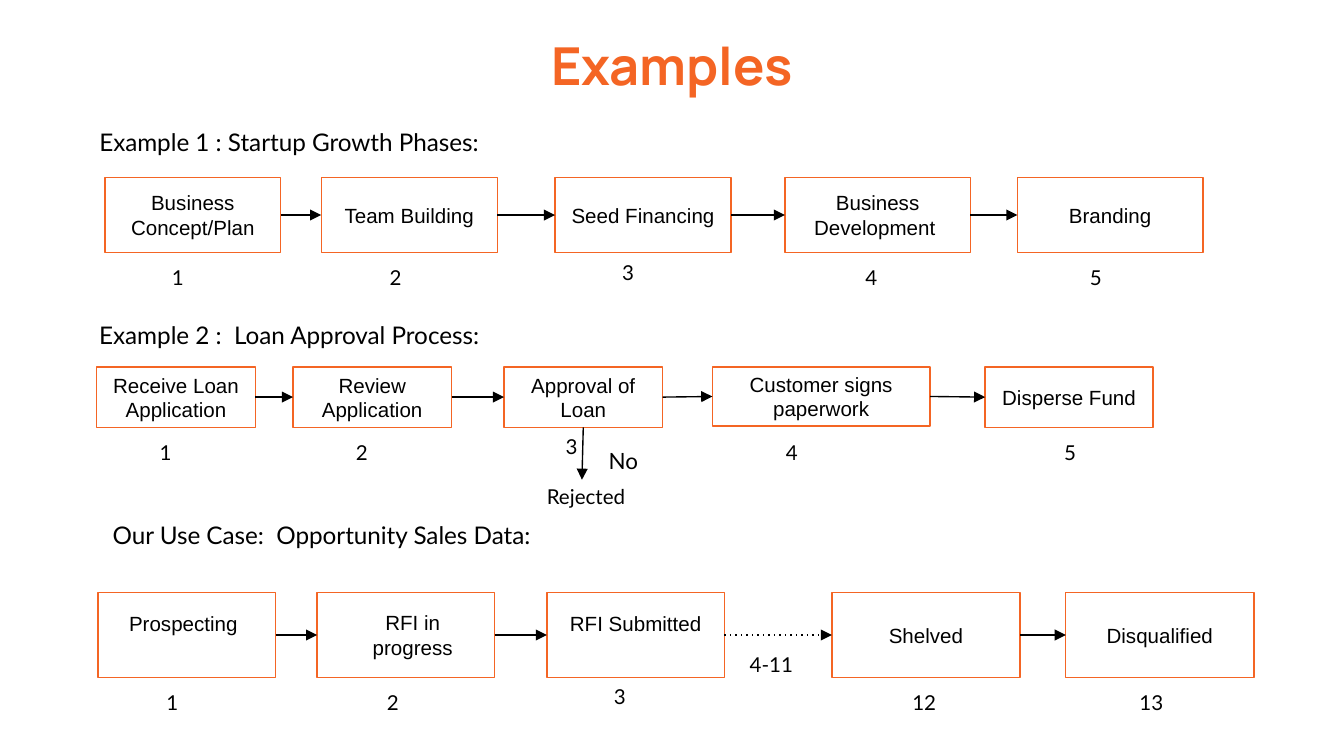
"""Build a slide with three example process flows."""
from itertools import pairwise

from lxml.etree import SubElement
from pptx import Presentation
from pptx.dml.color import RGBColor
from pptx.enum.shapes import MSO_CONNECTOR as Connector
from pptx.enum.shapes import MSO_SHAPE as Shape
from pptx.enum.text import MSO_ANCHOR as Anchor
from pptx.enum.text import PP_ALIGN as Align
from pptx.oxml.ns import qn
from pptx.util import Inches, Pt

ORANGE, BLACK = "F46524", "000000"
BOTTOM, LEFT, RIGHT = 2, 1, 3

# Each step: text, left, width, number, number left
FLOWS = [
    {
        "heading": ("Example 1 : Startup Growth Phases:", 0.64, 0.85, 3.48),
        "top": 1.32, "height": 0.56, "number_width": 0.49,
        "steps": [
            ("Business Concept/Plan", 0.78, 1.31, "1", 1.18),
            ("Team Building", 2.39, 1.31, "2", 2.8),
            ("Seed Financing", 4.13, 1.31, "3", 4.53),
            ("Business Development ", 5.84, 1.38, "4", 6.34),
            ("Branding", 7.57, 1.38, "5", 8.01),
        ],
    },
    {
        "heading": ("Example 2 :  Loan Approval Process:", 0.64, 2.28, 3.3),
        "top": 2.73, "height": 0.45, "number_width": 0.44,
        "steps": [
            ("Receive Loan Application", 0.72, 1.18, "1", 1.09),
            ("Review Application", 2.18, 1.18, "2", 2.55),
            ("Approval of Loan", 3.75, 1.18, "3", 4.11),
            ("Customer signs paperwork", 5.3, 1.62, "4", 5.75),
            ("Disperse Fund", 7.33, 1.25, "5", 7.82),
        ],
    },
    {
        "heading": ("Our Use Case:  Opportunity Sales Data:", 0.74, 3.77, 3.83),
        "top": 4.41, "height": 0.63, "number_width": 0.5,
        "steps": [
            ("Prospecting", 0.73, 1.32, "1", 1.14),
            ("RFI in progress", 2.36, 1.32, "2", 2.78),
            ("RFI Submitted", 4.07, 1.32, "3", 4.47),
            ("Shelved", 6.19, 1.4, "12", 6.69),
            ("Disqualified", 7.93, 1.4, "13", 8.38),
        ],
    },
]
HEIGHTS = {"Customer signs paperwork": 0.44}
LEFT_ALIGNED = {"Prospecting"}
LEFT_INSETS = {"Prospecting": 0.23, "RFI in progress": 0.2}
BOTTOM_INSETS = {"Prospecting": 0.28, "RFI Submitted": 0.28}
RAISED_NUMBER, RAISE = "3", 0.04
SKIPPED_AFTER = "RFI Submitted"
NOTES = [
    ("Rejected", 3.97, 3.51, 1, 0.39, 11),
    ("No", 4.43, 3.23, 0.44, 0.4, 12),
    ("4-11", 5.48, 4.76, 0.7, 0.39, 11),
]


def color(value):
    """Turn a hex string into a colour."""
    return RGBColor.from_string(value)


def write(shape, text, size, font="Lato", ink=BLACK, align=Align.LEFT, bold=False):
    """Put one formatted paragraph into a shape."""
    frame = shape.text_frame
    frame.word_wrap = True
    frame.margin_left = frame.margin_right = Inches(0.1)
    frame.margin_top = frame.margin_bottom = Inches(0.1)
    frame.text = text
    para = frame.paragraphs[0]
    para.alignment = align
    span = para.runs[0].font
    span.name, span.size, span.bold = font, Pt(size), bold
    span.color.rgb = color(ink)
    return frame


def add_text(page, text, left, top, width, height, size, **style):
    """Add a text box."""
    box = page.shapes.add_textbox(*map(Inches, (left, top, width, height)))
    write(box, text, size, **style)


def add_step(page, text, left, top, width, height):
    """Add an outlined step box."""
    box = page.shapes.add_shape(Shape.RECTANGLE, *map(Inches, (left, top, width, height)))
    box.shadow.inherit = False
    box.fill.background()
    box.line.color.rgb = color(ORANGE)
    box.line.width = Pt(0.75)
    align = Align.LEFT if text in LEFT_ALIGNED else Align.CENTER
    frame = write(box, text, 11, font="Arial", align=align)
    frame.vertical_anchor = Anchor.MIDDLE
    frame.margin_left = Inches(LEFT_INSETS.get(text, 0.1))
    frame.margin_bottom = Inches(BOTTOM_INSETS.get(text, 0.1))
    return box


def add_arrow(page, start, side, end_x=0, end_y=0, target=None):
    """Draw an arrow from a box side to a point or to the next box."""
    arrow = page.shapes.add_connector(Connector.STRAIGHT, 0, 0, Inches(end_x), Inches(end_y))
    arrow.begin_connect(start, side)
    if target is not None:
        arrow.end_connect(target, LEFT)
    arrow.line.color.rgb = color(BLACK)
    arrow.line.width = Pt(0.75)
    properties = arrow.element.spPr
    outline = properties.find(qn("a:ln"))
    if start.text_frame.text == SKIPPED_AFTER:
        SubElement(outline, qn("a:prstDash"), val="dot")
    SubElement(outline, qn("a:tailEnd"), type="triangle")
    SubElement(properties, qn("a:effectLst"))


def add_flow(page, flow):
    """Add a heading with its numbered, linked steps."""
    heading, left, top, width = flow["heading"]
    add_text(page, heading, left, top, width, 0.42, 13)
    boxes = []
    for text, left, width, number, number_left in flow["steps"]:
        height = HEIGHTS.get(text, flow["height"])
        boxes.append(add_step(page, text, left, flow["top"], width, height))
        number_top = flow["top"] + flow["height"] - (RAISE if number == RAISED_NUMBER else 0)
        add_text(page, number, number_left, number_top, flow["number_width"], 0.39, 11)
    for box, following in pairwise(boxes):
        add_arrow(page, box, RIGHT, target=following)
    return boxes


def main():
    """Compose and save the deck."""
    deck = Presentation()
    deck.slide_width = Inches(10)
    deck.slide_height = deck.slide_width * 9 // 16
    page = deck.slides.add_slide(deck.slide_layouts[6])
    add_text(page, "Examples", 0.34, 0.15, 9.32, 0.7, 28,
             font="Manrope", ink=ORANGE, align=Align.CENTER, bold=True)
    flow_boxes = [add_flow(page, flow) for flow in FLOWS]
    approval = flow_boxes[1][2]
    add_arrow(page, approval, BOTTOM, 4.33, 3.57)
    for text, left, top, width, height, size in NOTES:
        add_text(page, text, left, top, width, height, size)
    deck.save("out.pptx")


if __name__ == "__main__":
    main()
